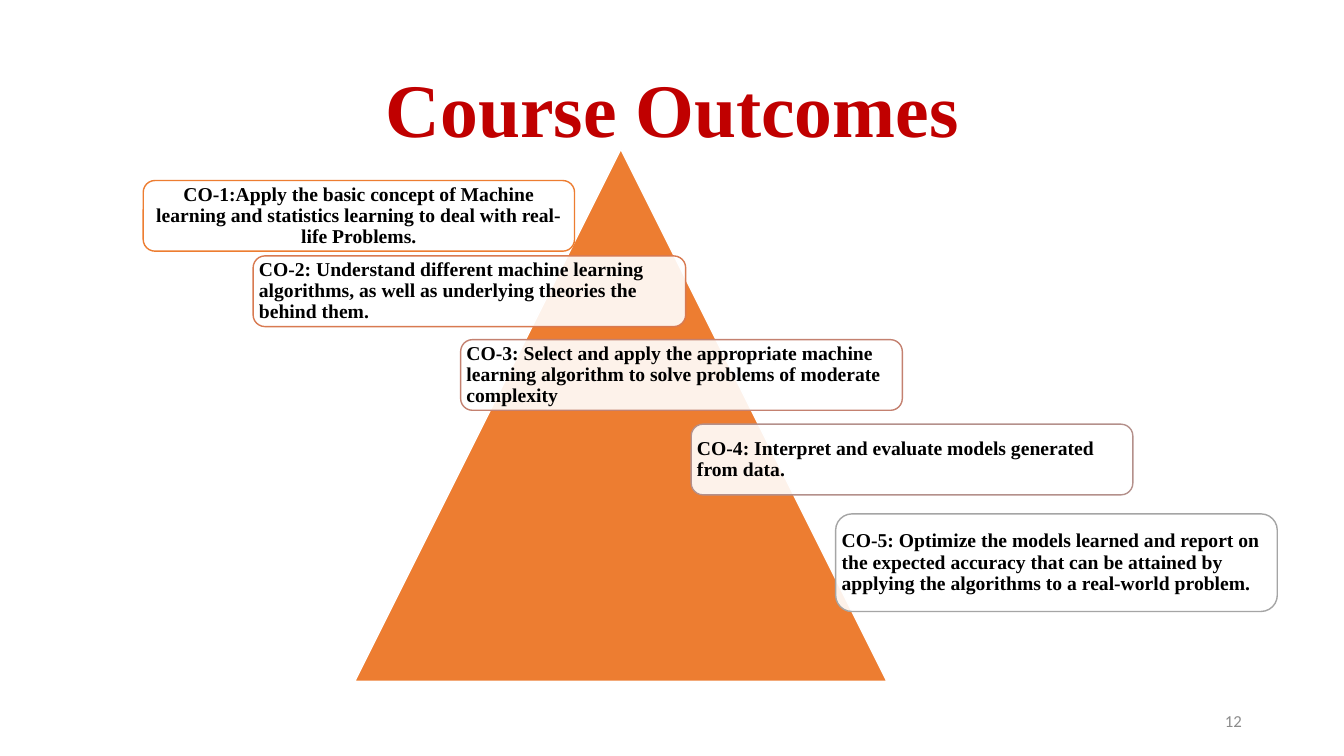
from lxml import etree
from pptx import Presentation
from pptx.dml.color import RGBColor
from pptx.enum.shapes import MSO_SHAPE as Shape
from pptx.enum.text import MSO_ANCHOR as Anchor, PP_ALIGN as Align
from pptx.oxml.ns import qn
from pptx.util import Cm, Pt

COLORS = {
    "title": "C00000",
    "number": "8C8C8C",
    "pyramid": "ED7D31",
    "white": "FFFFFF",
    "text": "000000",
    "co1": "ED7D31",
    "co2": "D87A51",
    "co3": "C48170",
    "co4": "B4908B",
    "co5": "A5A5A5",
}
SERIF = "Times New Roman"
CARD_INSET = 0.15
CORNER_INSET = 0.05  # share of a card's height its rounded corners add to the inset

# Border colour, box in cm (left, top, width, height) and wording
OUTCOMES = [
    ("co1", (3.61, 4.55, 10.87, 1.78),
     "CO-1:Apply the basic concept of Machine learning and statistics learning "
     "to deal with real-life Problems."),
    ("co2", (6.38, 6.45, 10.9, 1.78),
     "CO-2: Understand different machine learning algorithms, as well as "
     "underlying theories the behind them."),
    ("co3", (11.61, 8.56, 11.13, 1.78),
     "CO-3: Select and apply the appropriate machine learning algorithm to "
     "solve problems of moderate complexity"),
    ("co4", (17.42, 10.69, 11.13, 1.78),
     "CO-4: Interpret and evaluate models generated from data."),
    ("co5", (21.06, 12.95, 11.13, 2.46),
     "CO-5: Optimize the models learned and report on the expected accuracy "
     "that can be attained by applying the algorithms to a real-world problem."),
]


def rgb(name):
    return RGBColor.from_string(COLORS[name])


def write(shape, text, *, size, color="text", font=SERIF, bold=True,
          align=Align.LEFT, spacing=0.9, inset=None):
    frame = shape.text_frame
    frame.word_wrap = True
    frame.vertical_anchor = Anchor.MIDDLE
    if inset is not None:
        frame.margin_left = frame.margin_right = Cm(inset)
        frame.margin_top = frame.margin_bottom = Cm(inset)
    para = frame.paragraphs[0]
    para.alignment = align
    para.line_spacing = spacing
    span = para.add_run()
    span.text = text
    span.font.name = font
    span.font.size = Pt(size)
    span.font.bold = bold
    span.font.color.rgb = rgb(color)


def add_panel(page, kind, box, fill, line):
    panel = page.shapes.add_shape(kind, *map(Cm, box))
    panel.shadow.inherit = False
    panel.fill.solid()
    panel.fill.fore_color.rgb = rgb(fill)
    panel.line.color.rgb = rgb(line)
    panel.line.width = Pt(1)
    return panel


def set_opacity(shape, percent):
    color = shape.fill._xPr.find(qn("a:solidFill"))[0]
    etree.SubElement(color, qn("a:alpha"), val=str(percent * 1000))


def add_title(page, box):
    title = page.shapes.add_textbox(*map(Cm, box))
    write(title, "Course Outcomes", size=54, color="title", align=Align.CENTER)


def add_page_number(page, box):
    number = page.shapes.add_textbox(*map(Cm, box))
    write(number, "12", size=12, color="number", font="Calibri", bold=False,
          align=Align.RIGHT, spacing=1.0)


def add_outcome(page, box, text, border, align):
    card = add_panel(page, Shape.ROUNDED_RECTANGLE, box, "white", border)
    set_opacity(card, 90)
    inset = round(CARD_INSET - CORNER_INSET * box[3], 2)
    write(card, text, size=14, align=align, inset=inset)


def add_pyramid(page, box):
    """Draw the triangle with the outcome cards stepping down across it."""
    add_panel(page, Shape.ISOSCELES_TRIANGLE, box, "pyramid", "white")
    for index, (border, card_box, text) in enumerate(OUTCOMES):
        align = Align.LEFT if index else Align.CENTER
        add_outcome(page, card_box, text, border, align)


def main():
    deck = Presentation()
    deck.slide_width, deck.slide_height = Cm(33.87), Cm(19.05)
    page = deck.slides.add_slide(deck.slide_layouts[6])
    add_title(page, (2.34, 1.02, 29.21, 3.68))
    add_page_number(page, (23.93, 17.65, 7.62, 1.02))
    add_pyramid(page, (8.94, 3.76, 13.41, 13.41))
    deck.save("out.pptx")


if __name__ == "__main__":
    main()
